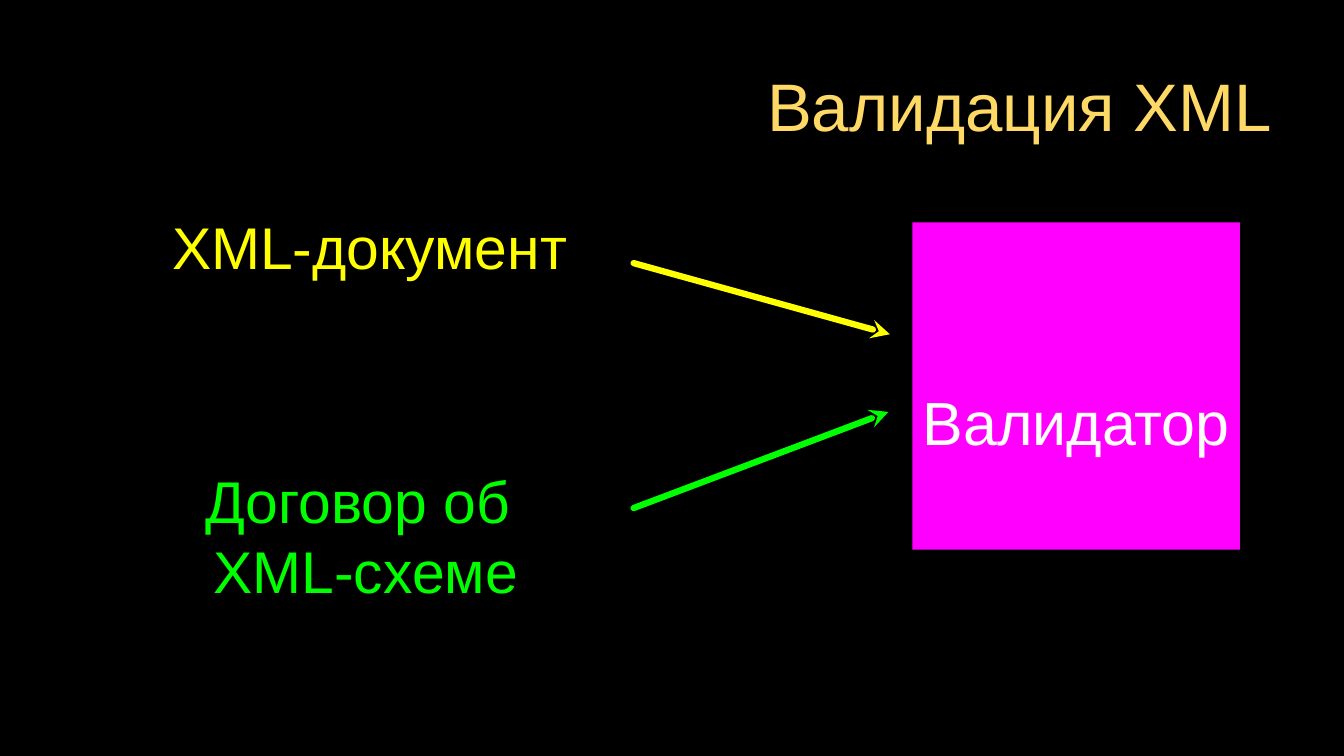
from dataclasses import dataclass

from lxml.etree import SubElement
from pptx import Presentation
from pptx.dml.color import RGBColor
from pptx.enum.shapes import MSO_CONNECTOR, MSO_SHAPE
from pptx.enum.text import MSO_ANCHOR, MSO_AUTO_SIZE, PP_ALIGN
from pptx.oxml.ns import qn
from pptx.util import Cm, Pt


@dataclass(frozen=True)
class Theme:
    font: str = "Arial"
    back: str = "000000"
    gold: str = "FFD966"
    yellow: str = "FFFF00"
    green: str = "00FF00"
    pink: str = "FF00FF"
    white: str = "FFFFFF"
    head: int = 64
    node: int = 58
    label: int = 56
    line: int = 6


THEME = Theme()


def rgb(code):
    return RGBColor.from_string(code)


def apply(item, values):
    for name, value in values.items():
        setattr(item, name, value)


def write(shape, text, size, color, top=0):
    """Fill a shape with centred text, one paragraph per line."""
    frame = shape.text_frame
    frame.text = text
    apply(frame, {
        "word_wrap": True,
        "auto_size": MSO_AUTO_SIZE.NONE,
        "vertical_anchor": MSO_ANCHOR.MIDDLE,
        "margin_left": 0,
        "margin_right": 0,
        "margin_top": Cm(top),
        "margin_bottom": 0,
    })
    for para in frame.paragraphs:
        para.alignment = PP_ALIGN.CENTER
        apply(para.font, {"name": THEME.font, "size": Pt(size)})
        para.font.color.rgb = rgb(color)


def add_title(slide, text, left, top, width, height):
    title = slide.shapes.title
    apply(title, {"left": Cm(left), "top": Cm(top),
                  "width": Cm(width), "height": Cm(height)})
    write(title, text, THEME.head, THEME.gold)


def add_label(slide, text, color, *box):
    label = slide.shapes.add_textbox(*map(Cm, box))
    write(label, text, THEME.label, color)


def add_node(slide, text, left, top, side):
    node = slide.shapes.add_shape(
        MSO_SHAPE.RECTANGLE, *map(Cm, (left, top, side, side)))
    node.shadow.inherit = False
    node.fill.solid()
    node.fill.fore_color.rgb = rgb(THEME.pink)
    node.line.fill.background()
    write(node, text, THEME.node, THEME.white, top=2.35)


def add_arrow(slide, color, *ends):
    """Draw a round-capped line whose arrowhead is at its first point."""
    arrow = slide.shapes.add_connector(
        MSO_CONNECTOR.STRAIGHT, *map(Cm, ends))
    arrow.line.width = Pt(THEME.line)
    arrow.line.color.rgb = rgb(color)
    props = arrow._element.spPr
    line = props.find(qn("a:ln"))
    line.set("cap", "rnd")
    SubElement(line, qn("a:headEnd"), type="stealth")
    SubElement(props, qn("a:effectLst"))


def main():
    deck = Presentation()
    apply(deck, {"slide_width": Cm(45.16), "slide_height": Cm(25.4)})
    slide = deck.slides.add_slide(deck.slide_layouts[5])
    slide.background.fill.solid()
    slide.background.fill.fore_color.rgb = rgb(THEME.back)

    add_node(slide, "Валидатор", 30.66, 7.47, 11)
    add_label(slide, "Договор об \nXML-схеме", THEME.green,
              3.78, 16, 17.02, 3.96)
    add_label(slide, "XML-документ", THEME.yellow, 5.77, 7.01, 13.31, 2.54)
    add_arrow(slide, THEME.yellow, 29.9, 11.23, 21.29, 8.84)
    add_arrow(slide, THEME.green, 29.85, 13.84, 21.29, 17.07)
    add_title(slide, "Валидация XML", 25.58, 2.11, 17.35, 2.79)
    deck.save("out.pptx")


if __name__ == "__main__":
    main()
